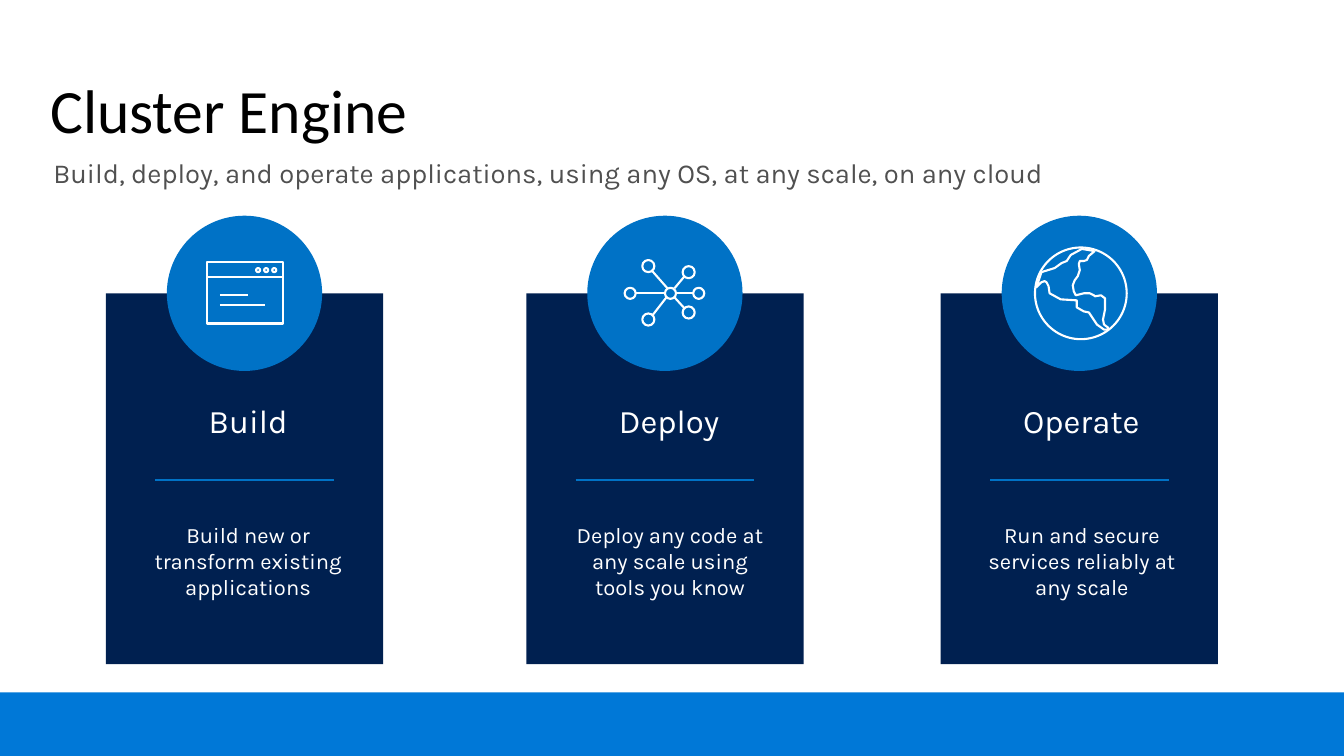
from lxml import etree
from pptx import Presentation
from pptx.dml.color import RGBColor
from pptx.enum.shapes import MSO_CONNECTOR, MSO_SHAPE
from pptx.enum.text import MSO_ANCHOR, MSO_AUTO_SIZE, PP_ALIGN
from pptx.oxml.ns import qn
from pptx.util import Inches, Pt

WHITE, NAVY, BLUE, BAR_BLUE = "FFFFFF", "002050", "0072C6", "0078D7"
CARD_W, CARD_H, CARD_TOP, DISC = 2.75, 3.68, 2.91, 1.54

CONTINENTS = [
    (10.86, 2.49), (10.8, 2.54), (10.78, 2.58), (10.75, 2.59), (10.71, 2.59),
    (10.7, 2.62), (10.71, 2.68), (10.7, 2.71), (10.69, 2.74), (10.66, 2.78),
    (10.64, 2.83), (10.65, 2.89), (10.67, 2.93), (10.75, 2.91), (10.81, 2.91),
    (10.85, 2.93), (10.86, 2.94), (10.92, 2.93), (10.96, 2.96), (10.96, 3.07),
    (10.94, 3.17), (10.95, 3.22), (10.99, 3.25), (10.99, 3.27), (10.95, 3.27),
    (10.88, 3.22), (10.8, 3.1), (10.75, 3.09), (10.68, 3.05), (10.68, 2.98),
    (10.52, 2.97), (10.41, 2.91), (10.4, 2.84), (10.38, 2.8), (10.36, 2.79),
    (10.33, 2.8), (10.28, 2.85), (10.33, 2.7), (10.46, 2.66), (10.53, 2.61),
    (10.58, 2.59), (10.62, 2.53), (10.73, 2.47), (10.85, 2.49),
]


def rgb(value):
    """Return the colour for a hex string."""
    return RGBColor.from_string(value)


def add_preset(shapes, kind, x, y, w, h, fill=None, line=None):
    """Add a preset shape with an optional fill and outline."""
    sp = shapes.add_shape(kind, Inches(x), Inches(y), Inches(w), Inches(h))
    style_shape(sp, fill, line)


def style_shape(sp, fill, line):
    """Set fill and outline, and remove the shadow."""
    sp.shadow.inherit = False
    if fill:
        sp.fill.solid()
        sp.fill.fore_color.rgb = rgb(fill)
    else:
        sp.fill.background()
    if line:
        sp.line.color.rgb = rgb(line)
        sp.line.width = Pt(1.5)
    else:
        sp.line.fill.background()


def add_ring(shapes, cx, cy, size):
    """Add a white circle outline around a centre."""
    add_preset(shapes, MSO_SHAPE.OVAL, cx - size / 2, cy - size / 2, size, size, line=WHITE)


def add_line(shapes, x1, y1, x2, y2, color=WHITE):
    """Add a straight line."""
    ln = shapes.add_connector(
        MSO_CONNECTOR.STRAIGHT, Inches(x1), Inches(y1), Inches(x2), Inches(y2))
    ln.line.color.rgb = rgb(color)
    ln.line.width = Pt(1.5)
    etree.SubElement(ln._element.spPr, qn("a:effectLst"))


def add_text(shapes, text, x, y, w, h, size, color, font="Karla", align=PP_ALIGN.CENTER, spacing=None):
    """Add a wrapped text box and return its frame."""
    tf = shapes.add_textbox(Inches(x), Inches(y), Inches(w), Inches(h)).text_frame
    tf.word_wrap = True
    tf.auto_size = MSO_AUTO_SIZE.SHAPE_TO_FIT_TEXT
    tf.margin_left = Inches(0.16)
    tf.margin_right = tf.margin_top = tf.margin_bottom = Inches(0.1)
    p = tf.paragraphs[0]
    p.text = text
    p.alignment = align
    p.line_spacing = spacing
    p.font.name = font
    p.font.size = Pt(size)
    p.font.color.rgb = rgb(color)
    return tf


def draw_window(shapes):
    """Draw the application window icon."""
    add_preset(shapes, MSO_SHAPE.RECTANGLE, 2.05, 2.6, 0.76, 0.61, line=WHITE)
    add_line(shapes, 2.05, 2.75, 2.81, 2.75)
    for i in range(3):
        add_ring(shapes, 2.56 + 0.08 * i, 2.68, 0.04)
    add_line(shapes, 2.18, 2.93, 2.46, 2.93)
    add_line(shapes, 2.18, 3.03, 2.63, 3.03)


def draw_network(shapes):
    """Draw the hub icon with six linked nodes."""
    add_ring(shapes, 6.65, 2.91, 0.11)
    nodes = [
        (6.93, 2.91, 0.11, (6.87, 2.91, 6.71, 2.91)),
        (6.25, 2.91, 0.11, (6.31, 2.91, 6.59, 2.91)),
        (6.83, 3.1, 0.12, (6.79, 3.06, 6.69, 2.95)),
        (6.43, 3.17, 0.12, (6.47, 3.13, 6.61, 2.95)),
        (6.83, 2.7, 0.12, (6.79, 2.74, 6.69, 2.86)),
        (6.43, 2.64, 0.12, (6.47, 2.69, 6.62, 2.86)),
    ]
    for cx, cy, size, link in nodes:
        add_line(shapes, *link)
        add_ring(shapes, cx, cy, size)


def draw_globe(shapes):
    """Draw the globe icon."""
    add_ring(shapes, 10.72, 2.91, 0.91)
    points = [(Inches(x), Inches(y)) for x, y in CONTINENTS]
    builder = shapes.build_freeform(*points[0])
    builder.add_line_segments(points[1:], close=False)
    style_shape(builder.convert_to_shape(), None, WHITE)


def add_card(s, x, heading, heading_box, body, body_box, draw_icon):
    """Add a grouped card; each box is a left edge and a width."""
    shapes = s.shapes.add_group_shape().shapes
    add_preset(shapes, MSO_SHAPE.RECTANGLE, x, CARD_TOP, CARD_W, CARD_H, NAVY)
    add_preset(shapes, MSO_SHAPE.OVAL, x + (CARD_W - DISC) / 2, CARD_TOP - DISC / 2,
               DISC, DISC, BLUE)
    draw_icon(shapes)
    add_line(shapes, x + 0.49, 4.76, x + 2.26, 4.76, BLUE)
    for text, (left, width), top, height, size in (
            (body, body_box, 5.07, 0.99, 15.7), (heading, heading_box, 3.87, 0.59, 23.5)):
        add_text(shapes, text, left, top, width, height, size, WHITE)


def main():
    """Build the slide and save it."""
    prs = Presentation()
    prs.slide_width, prs.slide_height = Inches(13.33), Inches(7.5)
    s = prs.slides.add_slide(prs.slide_layouts[6])
    add_preset(s.shapes, MSO_SHAPE.RECTANGLE, 0, 6.87, 13.33, 0.63, BAR_BLUE)
    cards = [
        (9.33, "Operate", (9.39, 2.61),
         "Run and secure services reliably at any scale", (9.51, 2.38), draw_globe),
        (5.22, "Deploy", (5.26, 2.69),
         "Deploy any code at any scale using tools you know", (5.48, 2.27), draw_network),
        (1.05, "Build", (1.24, 2.38),
         "Build new or transform existing applications", (1.24, 2.38), draw_window),
    ]
    for card in cards:
        add_card(s, *card)
    tf = add_text(s.shapes, "Cluster Engine", 0.4, 0.4, 12.5, 1.45, 44, "000000",
                  "Calibri", PP_ALIGN.LEFT, 0.9)
    tf.auto_size = MSO_AUTO_SIZE.NONE
    tf.margin_left = Inches(0.1)
    tf.vertical_anchor = MSO_ANCHOR.MIDDLE
    add_text(s.shapes,
             "Build, deploy, and operate applications, using any OS, at any scale, on any cloud",
             0.37, 1.49, 12.74, 0.49, 19.6, "505050", align=PP_ALIGN.LEFT, spacing=0.9)
    prs.save("out.pptx")


if __name__ == "__main__":
    main()
